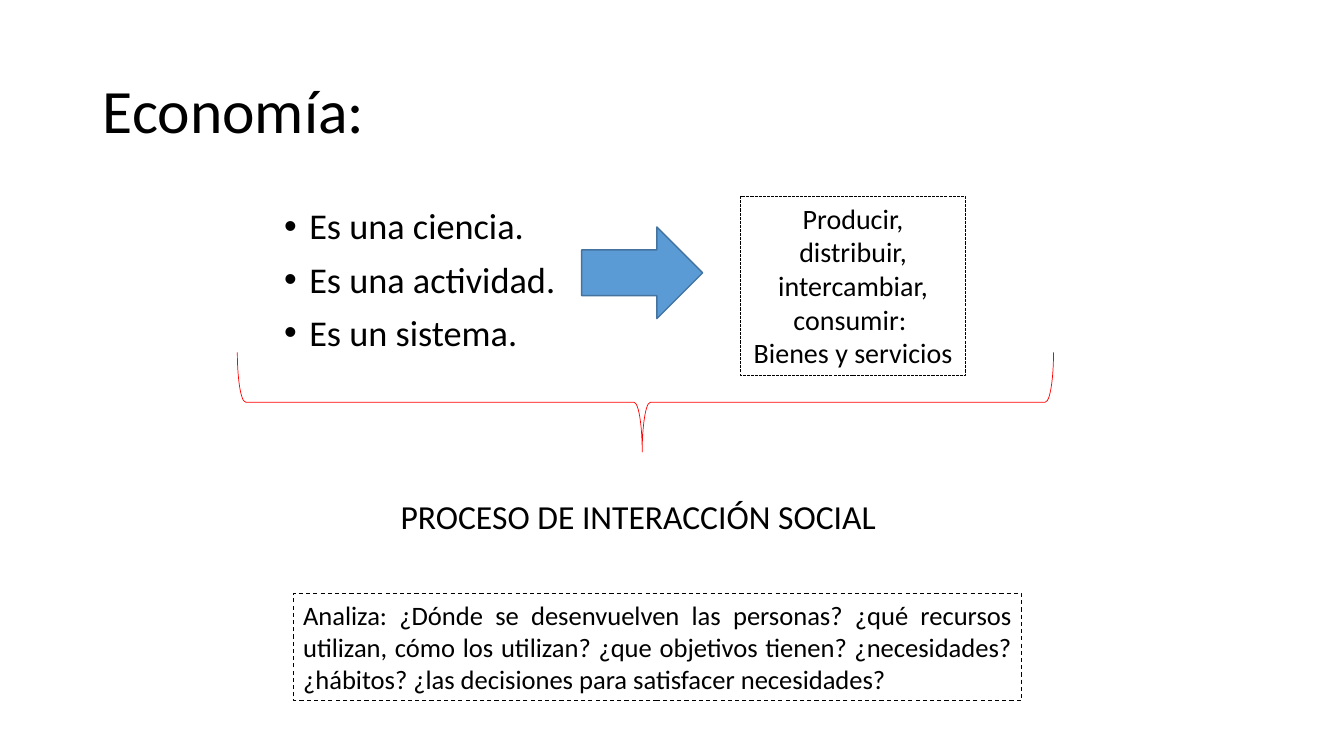
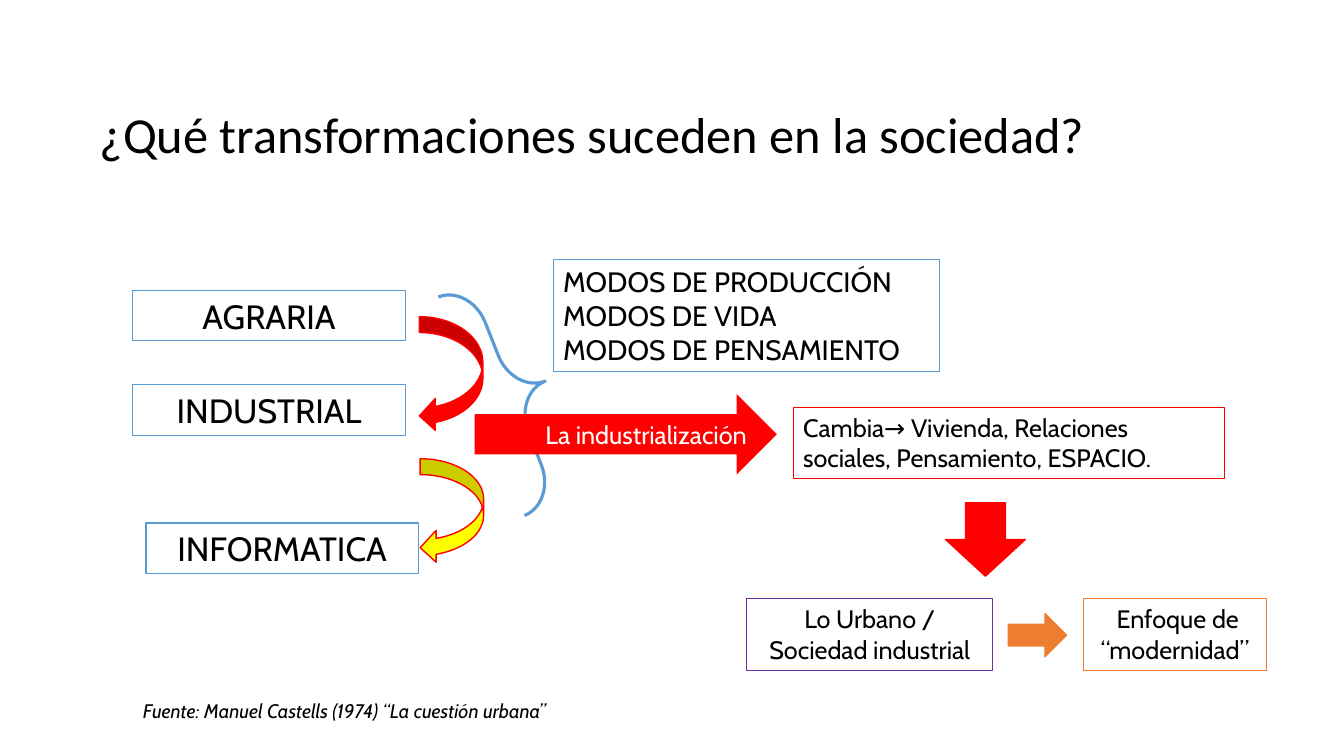
from dataclasses import dataclass

from lxml.etree import SubElement
from pptx import Presentation
from pptx.dml.color import RGBColor
from pptx.enum.dml import MSO_LINE as Dash
from pptx.enum.shapes import MSO_SHAPE as Kind
from pptx.enum.text import MSO_ANCHOR as Anchor, MSO_AUTO_SIZE as AutoSize, PP_ALIGN as Align
from pptx.oxml.ns import qn
from pptx.util import Cm, Pt


@dataclass(frozen=True)
class Theme:
    black: str = "000000"
    white: str = "FFFFFF"
    red: str = "FF0000"
    yellow: str = "FFFF00"
    blue: str = "5B9BD5"
    dark_blue: str = "43739E"
    purple: str = "7030A0"
    orange: str = "ED7D31"
    plain_font: str = "Calibri"
    diagram_font: str = "Cabin"
    title: float = 44
    long_title: float = 36
    bullet: float = 25.9
    heading: float = 24
    body: float = 20
    question: float = 19
    label: float = 18
    source: float = 14


theme = Theme()


def write(box, text, size, font=theme.plain_font, color=theme.black, align=Align.LEFT,
          anchor=Anchor.TOP, italic=False, wrap=True, spacing=1.0, before=0, bullet=None):
    """Fill a box with one paragraph per line of text; a vertical tab breaks a line."""
    frame = box.text_frame
    frame.word_wrap = wrap
    frame.auto_size = AutoSize.NONE
    frame.vertical_anchor = anchor
    for index, line in enumerate(text.split("\n")):
        para = frame.add_paragraph() if index else frame.paragraphs[0]
        para.text = line
        if bullet:
            properties = para._p.get_or_add_pPr()
            properties.set("marL", str(Cm(0.635)))
            properties.set("indent", str(-Cm(0.635)))
            SubElement(properties, qn("a:buFont")).set("typeface", "Arial")
            SubElement(properties, qn("a:buChar")).set("char", bullet)
        para.alignment = align
        para.line_spacing = spacing
        if index:
            para.space_before = Pt(before)
        for span in para.runs:
            span.font.name = font
            span.font.size = Pt(size)
            span.font.italic = italic
            span.font.color.rgb = RGBColor.from_string(color)


def draw(page, kind, place, fill=None, line=None, width=0.75, dash=None, turn=0, adjust=()):
    """Add a preset shape; place is left, top, width and height in centimetres."""
    shape = page.shapes.add_shape(kind, *map(Cm, place))
    shape.shadow.inherit = False
    shape.rotation = turn
    for index, value in enumerate(adjust):
        shape.adjustments[index] = value
    if fill:
        shape.fill.solid()
        shape.fill.fore_color.rgb = RGBColor.from_string(fill)
    else:
        shape.fill.background()
    if line:
        shape.line.color.rgb = RGBColor.from_string(line)
        shape.line.width = Pt(width)
        if dash:
            shape.line.dash_style = dash
    else:
        shape.line.fill.background()
    return shape


deck = Presentation()
deck.slide_width, deck.slide_height = Cm(33.87), Cm(19.05)

# Pages with their titles
pages = []
for text, size, place in (
    ("Economía:", theme.title, (2.34, 1.02, 29.21, 3.68)),
    ("¿Qué transformaciones suceden en la sociedad?", theme.long_title, (2.26, 1.37, 29.08, 4.17)),
):
    page = deck.slides.add_slide(deck.slide_layouts[5])
    title = page.shapes.title
    title.left, title.top, title.width, title.height = map(Cm, place)
    write(title, text, size, anchor=Anchor.MIDDLE, spacing=0.9)
    pages.append(page)
economy, society = pages

# Economy: what it is and what it does
bullets = economy.shapes.add_textbox(Cm(6.91), Cm(5.13), Cm(7.75), Cm(4.55))
write(bullets, "Es una ciencia.\nEs una actividad.\nEs un sistema.", theme.bullet,
      spacing=0.9, before=10, bullet="•")
draw(economy, Kind.RIGHT_BRACE, (15.01, -0.15, 2.51, 20.57), line=theme.red, width=0.5,
     turn=90, adjust=(0.083, 0.504))
actions = draw(economy, Kind.RECTANGLE, (18.67, 4.95, 5.66, 4.52), line=theme.black,
               dash=Dash.SQUARE_DOT)
write(actions, "Producir, distribuir, intercambiar, consumir: \nBienes y servicios", theme.body,
      align=Align.CENTER)
draw(economy, Kind.RIGHT_ARROW, (14.66, 5.72, 3.05, 2.31), fill=theme.blue,
     line=theme.dark_blue, width=1)

# Economy: the process and its questions
process = economy.shapes.add_textbox(Cm(9.83), Cm(12.37), Cm(12.7), Cm(1.27))
write(process, "PROCESO DE INTERACCIÓN SOCIAL ", theme.heading, align=Align.CENTER)
questions = draw(economy, Kind.RECTANGLE, (7.39, 14.96, 18.36, 2.69), line=theme.black,
                 dash=Dash.DASH)
write(questions, "Analiza: ¿Dónde se desenvuelven las personas? ¿qué recursos utilizan, cómo los "
      "utilizan? ¿que objetivos tienen? ¿necesidades? ¿hábitos? ¿las decisiones para satisfacer "
      "necesidades?", theme.question, align=Align.JUSTIFY)

# Society: brace behind the arrows
draw(society, Kind.LEFT_BRACE, (12.07, 6.96, 1.73, 5.92), line=theme.blue, width=2.25,
     turn=158.5, adjust=(0.6, 0.5))

# Society: outlined boxes
for text, place, line, size, align, wrap in (
    ("AGRARIA", (3.35, 7.32, 6.86, 1.27), theme.blue, theme.heading, Align.CENTER, True),
    ("INDUSTRIAL", (3.35, 9.7, 6.86, 1.27), theme.blue, theme.heading, Align.CENTER, True),
    ("INFORMATICA", (3.68, 13.18, 6.86, 1.27), theme.blue, theme.heading, Align.CENTER, True),
    ("MODOS DE PRODUCCIÓN\nMODOS DE VIDA\nMODOS DE PENSAMIENTO", (13.94, 6.55, 9.75, 2.82),
     theme.blue, theme.body, Align.LEFT, True),
    ("Cambia→ Vivienda, Relaciones sociales, Pensamiento, ESPACIO.", (19.99, 10.26, 10.87, 1.8),
     theme.red, theme.label, Align.LEFT, True),
    ("Lo Urbano /\vSociedad industrial", (18.82, 15.09, 6.2, 1.8),
     theme.purple, theme.label, Align.CENTER, True),
    (" Enfoque de\n“modernidad”", (27.31, 15.09, 4.6, 1.8),
     theme.orange, theme.label, Align.CENTER, False),
):
    box = draw(society, Kind.RECTANGLE, place, line=line)
    write(box, text, size, font=theme.diagram_font, align=align, wrap=wrap)

# Society: arrows between the boxes
for kind, place, fill, line in (
    (Kind.CURVED_LEFT_ARROW, (10.57, 7.98, 1.6, 2.9), theme.red, theme.red),
    (Kind.CURVED_LEFT_ARROW, (10.59, 11.56, 1.6, 2.64), theme.yellow, theme.red),
    (Kind.DOWN_ARROW, (23.83, 12.67, 2.01, 1.85), theme.red, theme.red),
    (Kind.RIGHT_ARROW, (25.41, 15.46, 1.47, 1.09), theme.orange, theme.orange),
):
    draw(society, kind, place, fill=fill, line=line, width=1)
industry = draw(society, Kind.RIGHT_ARROW, (11.96, 9.93, 7.62, 2.03), fill=theme.red)
write(industry, "La industrialización", theme.label, font=theme.diagram_font,
      color=theme.white, align=Align.RIGHT)

# Society: source line
source = society.shapes.add_textbox(Cm(3.35), Cm(17.48), Cm(12.42), Cm(0.86))
write(source, "Fuente: Manuel Castells (1974) “La cuestión urbana”", theme.source,
      font=theme.diagram_font, italic=True, wrap=False)

deck.save("out.pptx")
